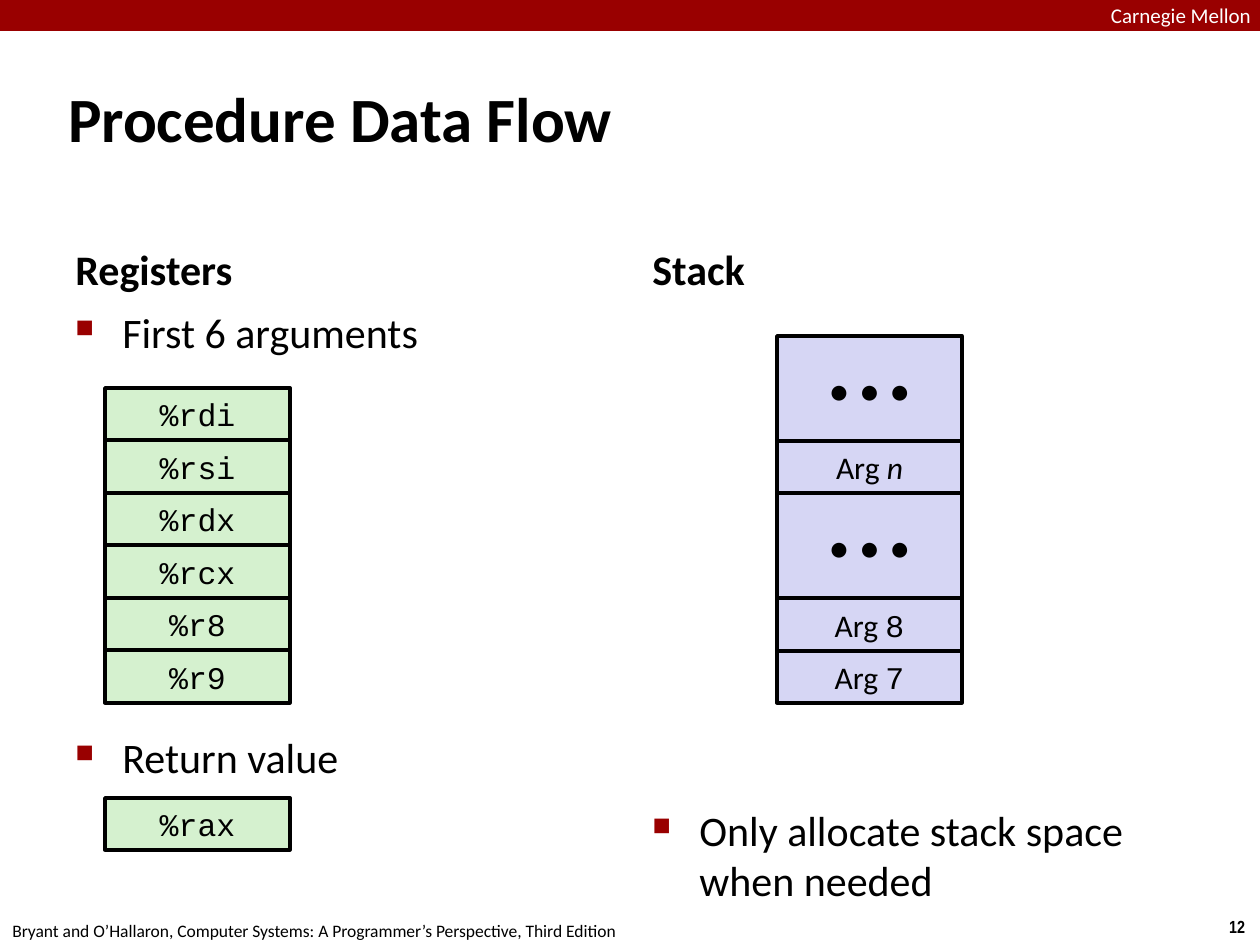
"""Build the "Procedure Data Flow" slide."""
import pptx
import pptx.dml.color
import pptx.enum.shapes
import pptx.enum.text
import pptx.oxml.ns
import pptx.util
from lxml import etree

RGBColor = pptx.dml.color.RGBColor
Align = pptx.enum.text.PP_ALIGN
Anchor = pptx.enum.text.MSO_ANCHOR

BLACK = RGBColor(0x00, 0x00, 0x00)
WHITE = RGBColor(0xFF, 0xFF, 0xFF)
RED = RGBColor(0x99, 0x00, 0x00)
GREEN = RGBColor(0xD5, 0xF1, 0xCF)
LILAC = RGBColor(0xD6, 0xD6, 0xF4)

SANS = "Calibri"
MONO = "Courier New"
PX_PER_INCH = 126
CELL_WIDTH = 185
TWO_ROWS = 105
BULLET_INDENT = 47

REGISTERS = ["%rdi", "%rsi", "%rdx", "%rcx", "%r8", "%r9"]
DOTS = [("• • •", SANS, False)]
STACK = [
    (2, DOTS),
    (1, [("Arg ", SANS, False), ("n", SANS, True)]),
    (2, DOTS),
    (1, [("Arg ", SANS, False), ("8", MONO, False)]),
    (1, [("Arg ", SANS, False), ("7", MONO, False)]),
]


def px(length):
    """Turn pixels into EMU."""
    return pptx.util.Emu(round(length * 914400 / PX_PER_INCH))


def place(shape, left, top, width, height):
    """Set the position and size of a shape."""
    shape.left, shape.top = px(left), px(top)
    shape.width, shape.height = px(width), px(height)


def set_margins(frame, margin):
    """Give a text frame the same margin on all sides."""
    frame.margin_left = frame.margin_right = px(margin)
    frame.margin_top = frame.margin_bottom = px(margin)


def format_span(span, size, font=SANS, color=BLACK, bold=False, italic=False):
    """Format one run."""
    span.font.size = pptx.util.Pt(size)
    span.font.name = font
    span.font.color.rgb = color
    span.font.bold = bold
    span.font.italic = italic


def add_text(page, area, text, size, align=Align.LEFT, anchor=Anchor.TOP,
             margin=None, **style):
    """Add a text box with one formatted paragraph."""
    box = page.shapes.add_textbox(*map(px, area))
    frame = box.text_frame
    frame.word_wrap = True
    frame.vertical_anchor = anchor
    if margin is not None:
        set_margins(frame, margin)
    frame.text = text
    para = frame.paragraphs[0]
    para.alignment = align
    format_span(para.runs[0], size, **style)


def add_bullet(para):
    """Give a paragraph a small red square and a hanging indent."""
    properties = para._p.get_or_add_pPr()
    properties.set("marL", str(px(BULLET_INDENT)))
    properties.set("indent", str(-px(BULLET_INDENT)))
    qn = pptx.oxml.ns.qn
    color = etree.SubElement(properties, qn("a:buClr"))
    etree.SubElement(color, qn("a:srgbClr"), val=str(RED))
    etree.SubElement(properties, qn("a:buSzPct"), val="60000")
    etree.SubElement(properties, qn("a:buChar"), char="■")


def add_bullet_list(page, area, items, gap=0):
    """Add a bulleted list whose items are gap points apart."""
    frame = page.shapes.add_textbox(*map(px, area)).text_frame
    frame.word_wrap = True
    frame.text = "\n".join(items)
    for index, para in enumerate(frame.paragraphs):
        add_bullet(para)
        if index:
            para.space_before = pptx.util.Pt(gap)
        format_span(para.runs[0], 24)


def add_rectangle(shapes, area, fill):
    """Add a flat rectangle without an outline."""
    shape = shapes.add_shape(pptx.enum.shapes.MSO_SHAPE.RECTANGLE, *map(px, area))
    shape.shadow.inherit = False
    shape.fill.solid()
    shape.fill.fore_color.rgb = fill
    shape.line.fill.background()
    return shape


def add_cell(shapes, area, fill, parts, size=18, margin=5):
    """Add an outlined cell with centred text made of (text, font, italic) parts."""
    cell = add_rectangle(shapes, area, fill)
    cell.line.color.rgb = BLACK
    cell.line.width = pptx.util.Pt(2)
    frame = cell.text_frame
    frame.vertical_anchor = Anchor.MIDDLE
    set_margins(frame, margin)
    para = frame.paragraphs[0]
    para.alignment = Align.CENTER
    for text, font, italic in parts:
        span = para.add_run()
        span.text = text
        format_span(span, size, font, italic=italic)


def add_column(shapes, left, top, fill, rows):
    """Stack cells downwards, each given as (row units, parts)."""
    used = 0
    for units, parts in rows:
        start = top + used * TWO_ROWS // 2
        used += units
        end = top + used * TWO_ROWS // 2
        size, margin = (24, 0) if units == 2 else (18, 5)
        add_cell(shapes, (left, start, CELL_WIDTH, end - start), fill, parts, size, margin)


def set_title(page, text):
    """Place and format the title placeholder."""
    title = page.shapes.title
    place(title, 63, 38, 1134, 158)
    frame = title.text_frame
    frame.text = text
    frame.auto_size = pptx.enum.text.MSO_AUTO_SIZE.NONE
    frame.vertical_anchor = Anchor.MIDDLE
    set_margins(frame, 5)
    para = frame.paragraphs[0]
    para.alignment = Align.LEFT
    format_span(para.runs[0], 36, bold=True)


def main():
    """Build and save the deck."""
    deck = pptx.Presentation()
    deck.slide_width, deck.slide_height = px(1260), px(945)
    page = deck.slides.add_slide(deck.slide_layouts[5])

    add_rectangle(page.shapes, (0, 0, 1260, 31), RED)
    add_text(page, (1111, 3, 149, 24), "Carnegie Mellon", 12, margin=0, color=WHITE)
    set_title(page, "Procedure Data Flow")

    for left, heading in ((63, "Registers"), (640, "Stack")):
        add_text(page, (left, 212, 557, 88), heading, 24, anchor=Anchor.BOTTOM, bold=True)
    add_bullet_list(page, (63, 300, 557, 544), ["First 6 arguments", "Return value"], gap=214)
    add_bullet_list(page, (640, 798, 557, 47), ["Only allocate stack space when needed"])

    register_rows = [(1, [(name, MONO, False)]) for name in REGISTERS]
    add_column(page.shapes, 105, 388, GREEN, register_rows)
    add_column(page.shapes, 105, 798, GREEN, [(1, [("%rax", MONO, False)])])
    add_column(page.shapes.add_group_shape().shapes, 777, 336, LILAC, STACK)

    footer = "Bryant and O’Hallaron, Computer Systems: A Programmer’s Perspective, Third Edition"
    add_text(page, (0, 914, 640, 31), footer, 10, margin=None)
    add_text(page, (1214, 910, 46, 34), "12", 10, Align.CENTER, font="Arial Narrow", bold=True)
    deck.save("out.pptx")


if __name__ == "__main__":
    main()
